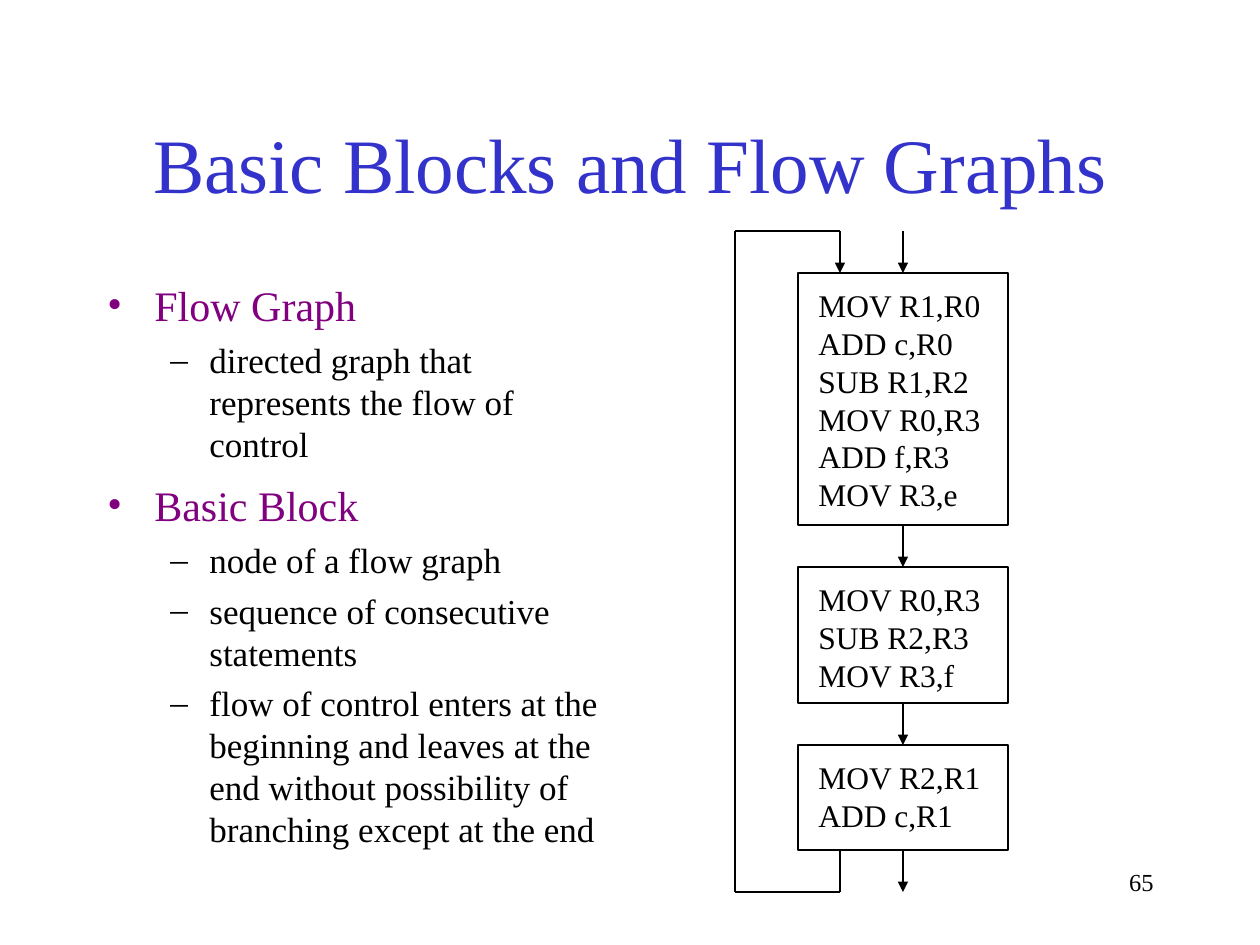
from lxml import etree
from pptx import Presentation
from pptx.dml.color import RGBColor
from pptx.enum.shapes import MSO_CONNECTOR, MSO_SHAPE
from pptx.enum.text import MSO_ANCHOR, PP_ALIGN
from pptx.oxml.ns import qn
from pptx.util import Emu, Pt

EMU_PER_PX = 914400 / 126
RECT, STRAIGHT = MSO_SHAPE.RECTANGLE, MSO_CONNECTOR.STRAIGHT
LEFT, CENTER, RIGHT = PP_ALIGN.LEFT, PP_ALIGN.CENTER, PP_ALIGN.RIGHT
TOP, MIDDLE = MSO_ANCHOR.TOP, MSO_ANCHOR.MIDDLE
FONT = "Times New Roman"
COLORS = {"title": "3333CC", "topic": "800080", "ink": "000000", "paper": "FFFFFF"}

# level: bullet, left margin px, hanging px, size, colour, space before
BULLETS = [
    ("•", 47, 47, 24, "topic", 6),
    ("–", 102, 39, 20, "ink", 5),
]

BLOCKS = [  # top, height, instructions
    (273, 252, ["MOV R1,R0", "ADD c,R0", "SUB R1,R2", "MOV R0,R3", "ADD f,R3", "MOV R3,e"]),
    (567, 136, ["MOV R0,R3", "SUB R2,R3", "MOV R3,f"]),
    (745, 105, ["MOV R2,R1", "ADD c,R1"]),
]
BLOCK_X, BLOCK_W = 798, 210
FLOW_X, BACK_X, LOOP_X = 903, 840, 735
GAP = 42

FLOW_GRAPH = [
    (0, "Flow Graph"),
    (1, "directed graph that represents the flow of control"),
]
BASIC_BLOCK = [
    (0, "Basic Block"),
    (1, "node of a flow graph"),
    (1, "sequence of consecutive statements"),
    (1, "flow of control enters at the beginning and leaves at the end "
        "without possibility of branching except at the end"),
]


def px(n):
    return Emu(round(n * EMU_PER_PX))


def rgb(name):
    return RGBColor.from_string(COLORS[name])


class Deck:
    def __init__(self, width, height):
        self.prs = Presentation()
        self.prs.slide_width, self.prs.slide_height = px(width), px(height)
        self.s = self.prs.slides.add_slide(self.prs.slide_layouts[6])

    def frame(self, x, y, w, h, wrap=True, anchor=TOP):
        tf = self.s.shapes.add_textbox(px(x), px(y), px(w), px(h)).text_frame
        tf.word_wrap = wrap
        tf.vertical_anchor = anchor
        return tf

    def paragraph(self, tf, i, text, size, color, **formats):
        p = tf.paragraphs[0] if i == 0 else tf.add_paragraph()
        for name, value in formats.items():
            setattr(p, name, value)
        r = p.add_run()
        r.text = text
        for name, value in {"name": FONT, "size": Pt(size)}.items():
            setattr(r.font, name, value)
        r.font.color.rgb = rgb(color)
        return p

    def text(self, x, y, w, h, lines, size, color="ink", align=LEFT, wrap=True, anchor=TOP):
        tf = self.frame(x, y, w, h, wrap, anchor)
        for i, line in enumerate(lines):
            self.paragraph(tf, i, line, size, color, alignment=align)

    def bullets(self, x, y, w, h, items):
        tf = self.frame(x, y, w, h)
        for i, (level, text) in enumerate(items):
            char, margin, hang, size, color, before = BULLETS[level]
            p = self.paragraph(tf, i, text, size, color, level=level,
                               space_before=Pt(before if i else 0))
            pPr = p._p.get_or_add_pPr()
            pPr.set("marL", str(px(margin)))
            pPr.set("indent", str(-px(hang)))
            clr = etree.SubElement(pPr, qn("a:buClr"))
            etree.SubElement(clr, qn("a:srgbClr"), val=COLORS[color])
            etree.SubElement(pPr, qn("a:buFont"), typeface=FONT)
            etree.SubElement(pPr, qn("a:buChar"), char=char)

    def box(self, x, y, w, h):
        sp = self.s.shapes.add_shape(RECT, px(x), px(y), px(w), px(h))
        sp.shadow.inherit = False
        sp.fill.solid()
        sp.fill.fore_color.rgb = rgb("paper")
        sp.line.color.rgb = rgb("ink")
        sp.line.width = Pt(0.75)

    def line(self, x1, y1, x2, y2, arrow=False):
        cxn = self.s.shapes.add_connector(STRAIGHT, px(x1), px(y1), px(x2), px(y2))
        cxn.line.color.rgb = rgb("ink")
        cxn.line.width = Pt(0.75)
        if arrow:
            etree.SubElement(cxn.line._get_or_add_ln(), qn("a:tailEnd"), type="triangle")
        etree.SubElement(cxn._element.spPr, qn("a:effectLst"))

    def block(self, y, h, code):
        self.box(BLOCK_X, y, BLOCK_W, h)
        self.text(BLOCK_X + 8, y + 7, 188, h - 12, code, 18, wrap=False)


def main():
    deck = Deck(1260, 945)
    deck.text(95, 84, 1071, 158, ["Basic Blocks and Flow Graphs"], 44, "title",
              align=CENTER, anchor=MIDDLE)
    deck.bullets(95, 273, 525, 567, FLOW_GRAPH)

    for y, h, code in BLOCKS:
        deck.block(y, h, code)
        deck.line(FLOW_X, y + h, FLOW_X, y + h + GAP, arrow=True)

    first = BLOCKS[0][0]
    last = BLOCKS[-1][0] + BLOCKS[-1][1]
    top, bottom = first - GAP, last + GAP
    deck.line(FLOW_X, top, FLOW_X, first, arrow=True)

    loop = [(BACK_X, last), (BACK_X, bottom), (LOOP_X, bottom),
            (LOOP_X, top), (BACK_X, top), (BACK_X, first)]
    for start, end in zip(loop, loop[1:]):
        deck.line(*start, *end, arrow=end == loop[-1])

    deck.bullets(95, 473, 535, 399, BASIC_BLOCK)
    deck.text(903, 861, 263, 63, ["65"], 14, align=RIGHT)
    deck.prs.save("out.pptx")


if __name__ == "__main__":
    main()
